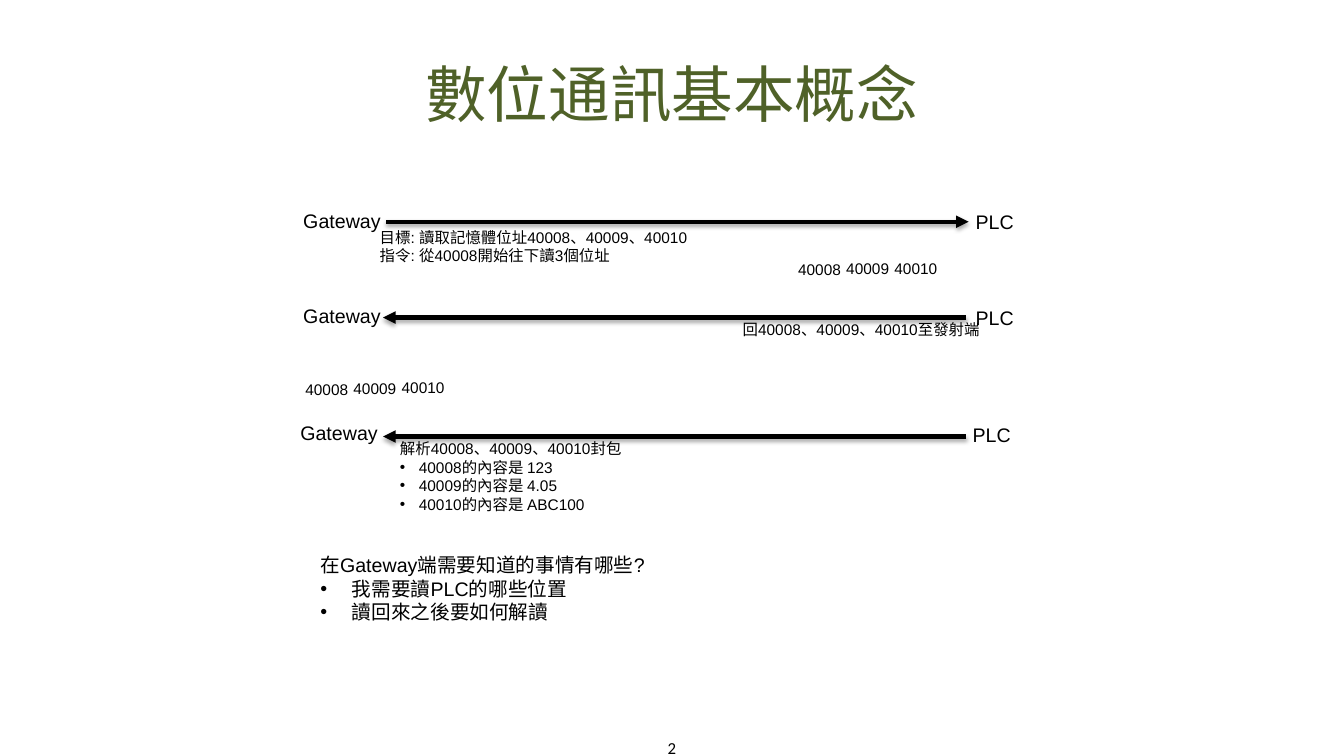
from lxml.etree import SubElement
from pptx import Presentation
from pptx.dml.color import RGBColor
from pptx.enum.shapes import MSO_CONNECTOR
from pptx.enum.text import MSO_ANCHOR, PP_ALIGN
from pptx.oxml import parse_xml
from pptx.oxml.ns import nsdecls, qn
from pptx.util import Pt

INK = {"title": "4F6128", "text": "000000"}
TITLE = "數位通訊基本概念"
PAGE = "2"

# arrow start x, end x, y; Gateway label x, y; PLC label x, y
TRIPS = [
    ((275.8, 691.9, 158.4), (209.5, 145.4), (689.8, 146.2)),
    ((689.8, 273.6, 226.8), (209.5, 213.8), (689.8, 215.3)),
    ((689.8, 273.6, 311.8), (207.4, 297.4), (687.6, 298.8)),
]

CODES = ["40008", "40009", "40010"]
STEP = 34.4
# left of the first code, top of each code
TRIOS = [
    (211, (267.8, 267.1, 266.4)),
    (563, (182.2, 181.4, 181.4)),
]

# box, size, bullet indent, lines, bullets
NOTES = [
    ((264.2, 159.1, 235.4, 33.8), 11, 0,
     ["目標: 讀取記憶體位址40008、40009、40010",
      "指令: 從40008開始往下讀3個位址"], []),
    ((523.4, 225.4, 185, 20.9), 11, 0,
     ["回40008、40009、40010至發射端"], []),
    ((278.6, 310.3, 174.2, 60.5), 11, 13.5,
     ["解析40008、40009、40010封包"],
     ["40008的內容是 123", "40009的內容是 4.05",
      "40010的內容是 ABC100"]),
    ((221.8, 391.7, 247.7, 92.2), 14, 22.5,
     ["在Gateway端需要知道的事情有哪些?"],
     ["我需要讀PLC的哪些位置", "讀回來之後要如何解讀"]),
]


def style(run, size, ink="text", name="Arial"):
    for key, value in {"size": Pt(size), "name": name}.items():
        setattr(run.font, key, value)
    run.font.color.rgb = RGBColor.from_string(INK[ink])


def bullet(para, indent):
    props = para._p.get_or_add_pPr()
    props.set("marL", str(Pt(indent)))
    props.set("indent", str(-Pt(indent)))
    color = SubElement(props, qn("a:buClr"))
    SubElement(color, qn("a:srgbClr"), val=INK["text"])
    SubElement(props, qn("a:buFont"), typeface="Arial")
    SubElement(props, qn("a:buChar"), char="•")


def write(slide, box, size, lines, bullets=(), indent=0, wrap=False,
          name="Arial"):
    frame = slide.shapes.add_textbox(*map(Pt, box)).text_frame
    frame.word_wrap = wrap
    for i, line in enumerate([*lines, *bullets]):
        para = frame.add_paragraph() if i else frame.paragraphs[0]
        if i >= len(lines):
            bullet(para, indent)
        run = para.add_run()
        run.text = line
        style(run, size, name=name)
    return frame


def arrow(slide, start, end, y):
    link = slide.shapes.add_connector(
        MSO_CONNECTOR.STRAIGHT, Pt(start), Pt(y), Pt(end), Pt(y))
    link.line.width = Pt(3)
    link.line.color.rgb = RGBColor.from_string(INK["text"])
    SubElement(link.line._get_or_add_ln(), qn("a:tailEnd"), type="triangle")
    link._element.spPr.append(parse_xml(
        f'<a:effectLst {nsdecls("a")}><a:outerShdw blurRad="{Pt(3.1)}" '
        f'dist="{Pt(1.8)}" dir="5400000" rotWithShape="0">'
        f'<a:srgbClr val="{INK["text"]}"><a:alpha val="35000"/></a:srgbClr>'
        '</a:outerShdw></a:effectLst>'))


def main():
    deck = Presentation()
    deck.slide_width, deck.slide_height = Pt(960), Pt(540)
    slide = deck.slides.add_slide(deck.slide_layouts[5])

    title = slide.shapes.title
    place = {"left": 48, "top": 21.6, "width": 864, "height": 90}
    for key, value in place.items():
        setattr(title, key, Pt(value))
    title.text_frame.text = TITLE
    title.text_frame.vertical_anchor = MSO_ANCHOR.MIDDLE
    head = title.text_frame.paragraphs[0]
    head.alignment = PP_ALIGN.CENTER
    style(head.runs[0], 44, "title")

    for line, gate, plc in TRIPS:
        arrow(slide, *line)
        write(slide, (*gate, 70.6, 24.2), 14, ["Gateway"])
        write(slide, (*plc, 41.8, 24.2), 14, ["PLC"])

    for left, tops in TRIOS:
        for i, (code, top) in enumerate(zip(CODES, tops)):
            write(slide, (left + i * STEP, top, 45.4, 20.9), 11, [code])

    for box, size, indent, lines, bullets in NOTES:
        write(slide, box, size, lines, bullets, indent, wrap=True)

    foot = write(slide, (367.9, 530.6, 223.9, 7.2), 12, [PAGE],
                 wrap=True, name="Calibri")
    foot.vertical_anchor = MSO_ANCHOR.MIDDLE
    foot.paragraphs[0].alignment = PP_ALIGN.CENTER

    deck.save("out.pptx")


if __name__ == "__main__":
    main()
